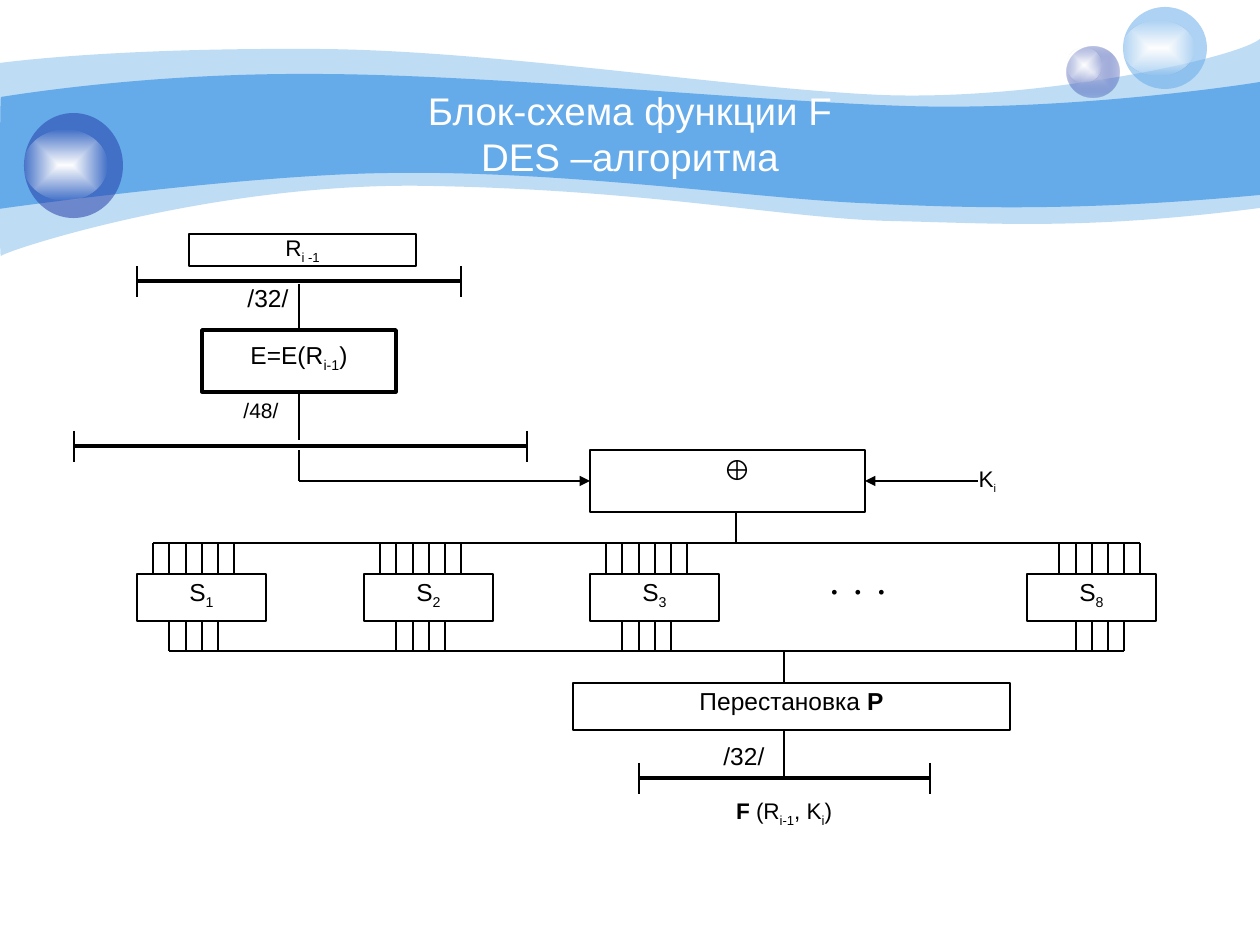
"""Build a slide with the block diagram of the DES function F."""
from lxml.etree import SubElement
from pptx import Presentation
from pptx.dml.color import RGBColor
from pptx.enum.shapes import MSO_CONNECTOR, MSO_SHAPE
from pptx.enum.text import MSO_ANCHOR, PP_ALIGN
from pptx.oxml.ns import qn
from pptx.util import Pt

PX = 914400 / 126
BLACK = RGBColor.from_string("000000")

deck = Presentation()
deck.slide_width, deck.slide_height = int(1260 * PX), int(945 * PX)
slide = deck.slides.add_slide(deck.slide_layouts[6])
shapes = slide.shapes


def box(x, y, w, h, parts, size=14, line=0, top=0):
    """Add a box of (text, style) runs, outlined when line is set."""
    area = [int(v * PX) for v in (x, y, w, h)]
    if line:
        shape = shapes.add_shape(MSO_SHAPE.RECTANGLE, *area)
        shape.shadow.inherit = False
        shape.fill.background()
        shape.line.color.rgb = BLACK
        shape.line.width = Pt(line)
    else:
        shape = shapes.add_textbox(*area)
    frame = shape.text_frame
    frame.word_wrap = True
    frame.vertical_anchor = MSO_ANCHOR.TOP
    frame.margin_left = frame.margin_right = frame.margin_bottom = 0
    frame.margin_top = int(top * PX)
    para = frame.paragraphs[0]
    para.alignment = PP_ALIGN.CENTER
    for text, style in parts:
        run = para.add_run()
        run.text = text
        run.font.name, run.font.size = "Arial", Pt(size)
        run.font.color.rgb = BLACK
        run.font.bold = style == "bold"
        if style == "sub":
            run._r.get_or_add_rPr().set("baseline", "-25000")
    return para


def wire(x1, y1, x2, y2, width=0.75, arrow=False):
    """Add a straight line, with an arrowhead at its end on request."""
    ends = [int(v * PX) for v in (x1, y1, x2, y2)]
    link = shapes.add_connector(MSO_CONNECTOR.STRAIGHT, *ends)
    link.line.color.rgb = BLACK
    link.line.width = Pt(width)
    if arrow:
        SubElement(link.line._get_or_add_ln(), qn("a:tailEnd"), type="triangle")
    SubElement(link._element.spPr, qn("a:effectLst"))


waves = [
    (41, [(0, 63), (30, 59), (135, 48), (311, 49), (486, 49), (725, 88), (881, 95),
          (1036, 101), (1235, 59), (1260, 39), (1260, 208),
          (1081, 231), (992, 223), (888, 221), (784, 218), (649, 190), (432, 186),
          (216, 181), (5, 251), (1, 256), (-1, 262), (0, 95), (0, 63)]),
    (100, [(1, 97), (3, 97), (139, 73), (312, 74), (486, 74), (750, 101), (905, 106),
           (1060, 111), (1230, 87), (1260, 82), (1260, 195),
           (1075, 212), (964, 208), (859, 203), (755, 198), (563, 171), (399, 173),
           (256, 173), (-3, 209), (-1, 209), (0, 209), (0, 97), (1, 97)]),
]
for alpha, knots in waves:
    pen = shapes.build_freeform(*knots[0], scale=PX)
    pen.add_line_segments(knots[1:], close=True)
    wave = pen.convert_to_shape()
    wave.shadow.inherit = False
    wave.line.fill.background()
    wave.fill.solid()
    wave.fill.fore_color.rgb = RGBColor.from_string("65AAE9")
    tint = wave._element.spPr.find(qn("a:solidFill"))[0]
    if alpha < 100:
        SubElement(tint, qn("a:alpha"), val=str(alpha * 1000))
    legs = list(wave._element.iter(qn("a:lnTo")))
    bends = legs[:9] + legs[10:22]
    for i in range(0, 21, 3):
        first, *rest = bends[i:i + 3]
        curve = first.makeelement(qn("a:cubicBezTo"))
        first.addprevious(curve)
        for leg in (first, *rest):
            curve.append(leg[0])
            leg.getparent().remove(leg)

balls = [
    (1067, 47, 53, 51, [("C7CEE9", 100), ("233DA9", 31)]),
    (1067, 48, 35, 34, [("FFFFFF", 100), ("FFFFFF", 0)]),
    (1123, 7, 84, 82, [("65AAE9", 53)]),
    (1123, 21, 71, 54, [("FFFFFF", 100), ("FFFFFF", 0)]),
    (24, 113, 99, 105, [("233DA9", 53)]),
    (24, 130, 83, 70, [("FFFFFF", 100), ("FFFFFF", 0)]),
]
for *area, stops in balls:
    ball = shapes.add_shape(MSO_SHAPE.OVAL, *[int(v * PX) for v in area])
    ball.shadow.inherit = False
    ball.line.fill.background()
    if len(stops) == 1:
        ball.fill.solid()
        ball.fill.fore_color.rgb = RGBColor.from_string(stops[0][0])
    else:
        ball.fill.gradient()
        for stop, (tone, alpha) in zip(ball.fill.gradient_stops, stops):
            stop.color.rgb = RGBColor.from_string(tone)
        grad = ball._element.spPr.find(qn("a:gradFill"))
        grad.remove(grad.find(qn("a:lin")))
        glow = SubElement(grad, qn("a:path"), path="rect")
        SubElement(glow, qn("a:fillToRect"), l="50000", t="50000", r="50000", b="50000")
    tints = ball._element.spPr.iter(qn("a:srgbClr"))
    for tint, (tone, alpha) in zip(tints, stops):
        if alpha < 100:
            SubElement(tint, qn("a:alpha"), val=str(alpha * 1000))

title = shapes.add_textbox(*[int(v * PX) for v in (121, 94, 1018, 78)]).text_frame
title.word_wrap = True
title.vertical_anchor = MSO_ANCHOR.MIDDLE
title.text = "Блок-схема функции F\vDES –алгоритма"
head = title.paragraphs[0]
head.alignment = PP_ALIGN.CENTER
for run in head.runs:
    run.font.name, run.font.size = "Arial", Pt(22)
    run.font.color.rgb = RGBColor.from_string("FFFFFF")

for left, right, y in [(137, 461, 281), (74, 527, 446), (639, 930, 778)]:
    wire(left, y, right, y, 2)
    for x in (left, right):
        wire(x, y - 15, x, y + 16)

box(189, 234, 227, 32, [("R", ""), ("i -1", "sub")], 12.9, 0.75)
box(202, 330, 194, 62, [("E=E(R", ""), ("i-1", "sub"), (")", "")], 14, 2, 10)
box(590, 450, 275, 62, [], 14, 0.75)
box(717, 450, 40, 40, [("⊕", "")], 16, 0, 3)
box(573, 683, 437, 47, [("Перестановка ", ""), ("Р", "bold")], 14, 0.75, 3)
box(244, 283, 48, 31, [("/32/", "")])
box(237, 398, 48, 31, [("/48/", "")], 12)
box(720, 741, 48, 31, [("/32/", "")])
box(724, 797, 120, 31, [("F ", "bold"), ("(R", ""), ("i-1", "sub"), (", K", ""),
                        ("i", "sub"), (")", "")], 12.9)
key = box(971, 465, 33, 31, [("K", ""), ("i", "sub")], 12.9)
key.runs[1].font.size = Pt(11.1)
gap = box(814, 577, 88, 40, [("• • •", "")], 10, 0, 4)
gap.runs[0]._r.get_or_add_rPr().set("spc", "356")

for x, y1, y2 in [(299, 284, 330), (299, 393, 440), (299, 450, 481), (736, 512, 543),
                  (784, 651, 683), (784, 730, 776)]:
    wire(x, y1, x, y2)
wire(282, 281, 299, 281)
wire(299, 481, 590, 481, arrow=True)
wire(978, 481, 865, 481, arrow=True)
wire(153, 543, 1140, 543)
wire(169, 651, 1124, 651)

for left, name, first in [(137, "1", 1), (364, "2", 1), (590, "3", 1), (1027, "8", 2)]:
    box(left, 574, 129, 47, [("S", ""), (name, "sub")], 14, 0.75, 3)
    for i in range(6):
        x = left + round(16.2 * (first + i))
        wire(x, 543, x, 574)
        if 0 < i < 5:
            wire(x, 621, x, 651)

deck.save("out.pptx")
